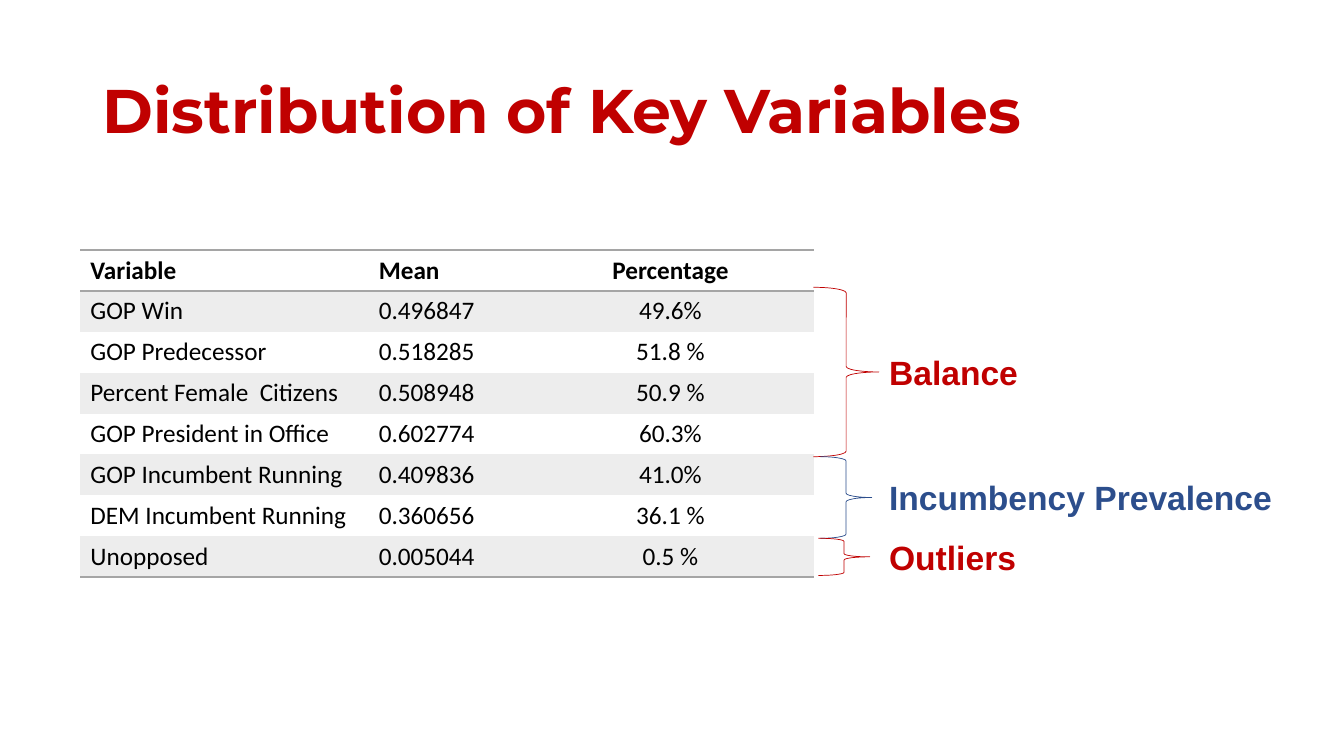
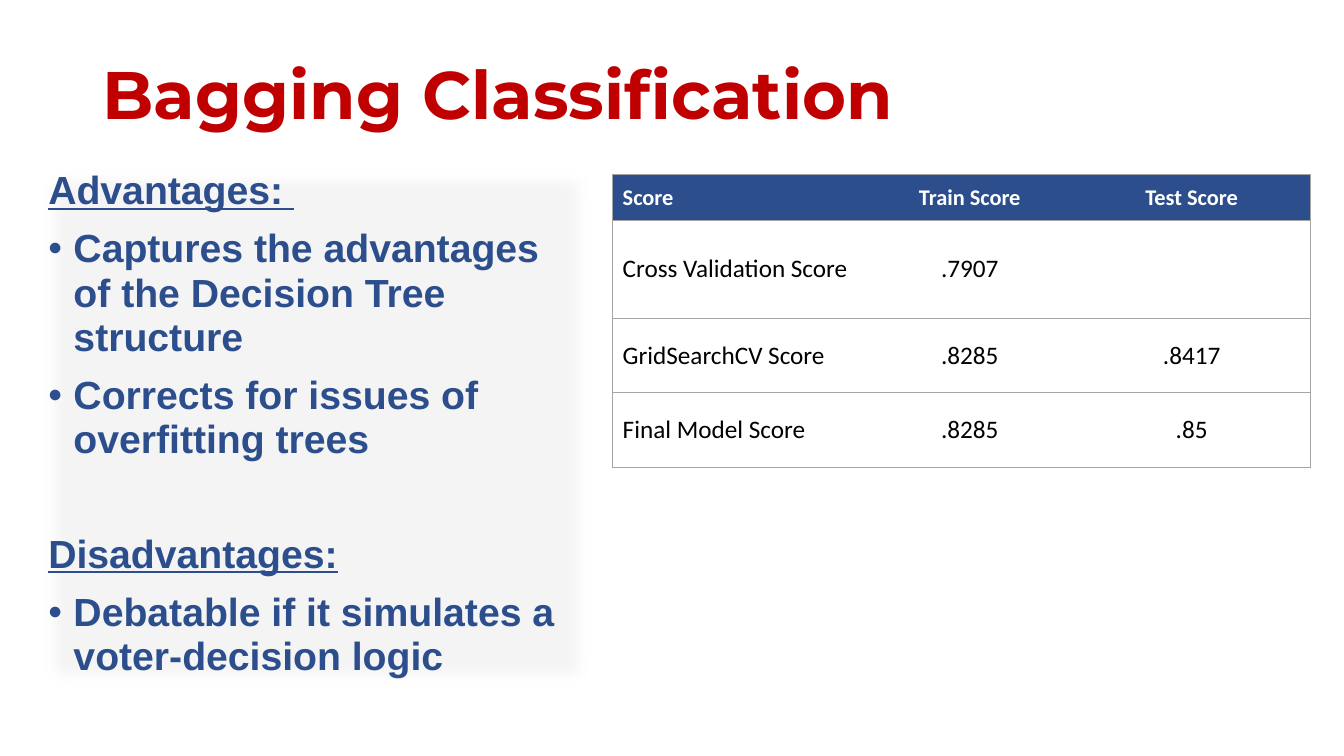
from pptx import Presentation
from pptx.dml.color import RGBColor
from pptx.enum.shapes import MSO_SHAPE as Shape
from pptx.enum.text import MSO_ANCHOR as Anchor, PP_ALIGN as Align
from pptx.oxml.ns import qn
from pptx.util import Pt
from lxml.etree import SubElement

RED, BLUE, GREY = "C00000", "2C4E8C", "A5A5A5"
BLACK, WHITE, BAND, PANEL = "000000", "FFFFFF", "EDEDED", "F2F2F2"
HEAD, BODY, CELL = "Montserrat", "Arial", "Calibri"
PLAIN = "{2D5ABB26-0587-4C30-8999-92F81FD0307C}"

STATS = [
    ("Variable", "Mean", "Percentage"),
    ("GOP Win", "0.496847", "49.6%"),
    ("GOP Predecessor", "0.518285", "51.8 %"),
    ("Percent Female  Citizens", "0.508948", "50.9 %"),
    ("GOP President in Office", "0.602774", "60.3%"),
    ("GOP Incumbent Running", "0.409836", "41.0%"),
    ("DEM Incumbent Running", "0.360656", "36.1 %"),
    ("Unopposed", "0.005044", "0.5 %"),
]
# label, colour, brace left, width, height
GROUPS = [
    ("Balance", RED, 581, 46.8, 121),
    ("Incumbency Prevalence", BLUE, 586, 36.7, 58.3),
    ("Outliers", RED, 584.6, 36.7, 26.6),
]
SCORES = [
    ("Score", "Train Score", "Test Score"),
    ("Cross Validation Score", ".7907", ""),
    ("GridSearchCV Score", ".8285", ".8417"),
    ("Final Model Score", ".8285", ".85"),
]
# text, is heading, space before
POINTS = [
    ("Advantages: ", True, 10),
    ("Captures the advantages of the Decision Tree structure", False, 10),
    ("Corrects for issues of overfitting trees", False, 10),
    ("Disadvantages:", True, 50),
    ("Debatable if it simulates a voter-decision logic", False, 10),
]


def rgb(code):
    """Turn a hex string into a colour."""
    return RGBColor.from_string(code)


def add_run(para, text, font, size, color, bold=True):
    """Add one styled run to a paragraph."""
    run = para.add_run()
    run.text = text
    run.font.name, run.font.size, run.font.bold = font, Pt(size), bold
    run.font.color.rgb = rgb(color)
    return run


def add_text(slide, box, text, font, size, color, lead=1.0):
    """Add a wrapped, vertically centred text box."""
    frame = slide.shapes.add_textbox(*map(Pt, box)).text_frame
    frame.word_wrap = True
    frame.vertical_anchor = Anchor.MIDDLE
    para = frame.paragraphs[0]
    para.line_spacing = lead
    add_run(para, text, font, size, color)


def add_slide(deck, title, size, height):
    """Add a blank slide with the shared title style."""
    slide = deck.slides.add_slide(deck.slide_layouts[6])
    add_text(slide, (66, 29, 828, height), title, HEAD, size, RED, 0.9)
    return slide


def set_edges(cell, sides, width):
    """Draw the cell borders named in sides, such as 'LT'."""
    props = cell._tc.get_or_add_tcPr()
    for side in "LRTB":
        if side in sides:
            line = SubElement(props, qn("a:ln" + side), w=str(Pt(width)))
            fill = SubElement(line, qn("a:solidFill"))
            SubElement(fill, qn("a:srgbClr"), val=GREY)


def add_grid(slide, left, top, cols, rows, data, look):
    """Add a table; look(row, col) gives edges, width, fill, size, colour."""
    grid = slide.shapes.add_table(
        len(rows), len(cols), Pt(left), Pt(top), Pt(sum(cols)), Pt(sum(rows))
    ).table
    grid.first_row = grid.horz_banding = False
    grid._tbl.tblPr.find(qn("a:tableStyleId")).text = PLAIN
    for col, width in zip(grid.columns, cols):
        col.width = Pt(width)
    for r, height in enumerate(rows):
        grid.rows[r].height = Pt(height)
        for c, text in enumerate(data[r]):
            cell = grid.cell(r, c)
            sides, width, fill, size, color = look(r, c)
            set_edges(cell, sides, width)
            if fill:
                cell.fill.solid()
                cell.fill.fore_color.rgb = rgb(fill)
            else:
                cell.fill.background()
            para = cell.text_frame.paragraphs[0]
            if text:
                add_run(para, text, CELL, size, color, r == 0)
            yield r, c, cell, para


def stat_look(r, c):
    """Style the statistics table: grey bands and ruled ends."""
    sides = {0: "TB", len(STATS) - 1: "B"}.get(r, "")
    return sides, 1, BAND if r % 2 else None, 18, BLACK


def score_look(r, c):
    """Style the score table: blue header, row rules and outer frame."""
    sides = "TB" + {0: "L", 2: "R"}.get(c, "")
    if r == 0:
        return sides, 0.5, BLUE, 16, WHITE
    return sides, 0.5, None, 18, BLACK


def add_groups(slide, top):
    """Stack the braces and centre a label on each."""
    for label, color, left, width, height in GROUPS:
        brace = slide.shapes.add_shape(
            Shape.RIGHT_BRACE, Pt(left), Pt(top), Pt(width), Pt(height))
        brace.shadow.inherit = False
        brace.fill.background()
        brace.line.color.rgb = rgb(color)
        brace.line.width = Pt(0.5)
        mid = top + height / 2
        add_text(slide, (628, mid - 18, 295, 36), label, BODY, 24, color)
        top += height


def add_panel(slide):
    """Add the soft-edged panel with headings and bullets."""
    panel = slide.shapes.add_shape(
        Shape.RECTANGLE, Pt(27.4), Pt(117.4), Pt(398), Pt(376.6))
    panel.shadow.inherit = False
    panel.line.fill.background()
    panel.fill.solid()
    panel.fill.fore_color.rgb = rgb(PANEL)
    props = panel._element.spPr
    tint = props.find(qn("a:solidFill")).find(qn("a:srgbClr"))
    SubElement(tint, qn("a:alpha"), val="72000")
    SubElement(props.find(qn("a:effectLst")), qn("a:softEdge"), rad=str(Pt(10)))
    frame = panel.text_frame
    frame.word_wrap = True
    frame.vertical_anchor = Anchor.TOP
    for i, (text, head, gap) in enumerate(POINTS):
        para = frame.add_paragraph() if i else frame.paragraphs[0]
        para.alignment = Align.LEFT
        para.line_spacing = 0.94
        para.space_before = Pt(gap)
        run = add_run(para, text, BODY, 28, BLUE)
        run.font.underline = head
        if not head:
            style = para._p.get_or_add_pPr()
            style.set("marL", str(Pt(18)))
            style.set("indent", str(-Pt(18)))
            SubElement(style, qn("a:buFont"), typeface=BODY)
            SubElement(style, qn("a:buChar"), char="•")


deck = Presentation()
deck.slide_width, deck.slide_height = Pt(960), Pt(540)

stats = add_slide(deck, "Distribution of Key Variables", 44, 104.4)
for r, c, cell, para in add_grid(stats, 57.4, 178.6, (206, 113, 205),
                                 [29.2] * len(STATS), STATS, stat_look):
    para.alignment = Align.CENTER if c == 2 else Align.LEFT
add_groups(stats, 205.2)

scores = add_slide(deck, "Bagging Classification", 48, 81.4)
for r, c, cell, para in add_grid(scores, 437.6, 124.6, (181.6, 147, 170),
                                 (33, 69.6, 53.3, 53.3), SCORES, score_look):
    para.alignment = Align.CENTER if c else Align.LEFT
    cell.vertical_anchor = Anchor.MIDDLE
add_panel(scores)

deck.save("out.pptx")
